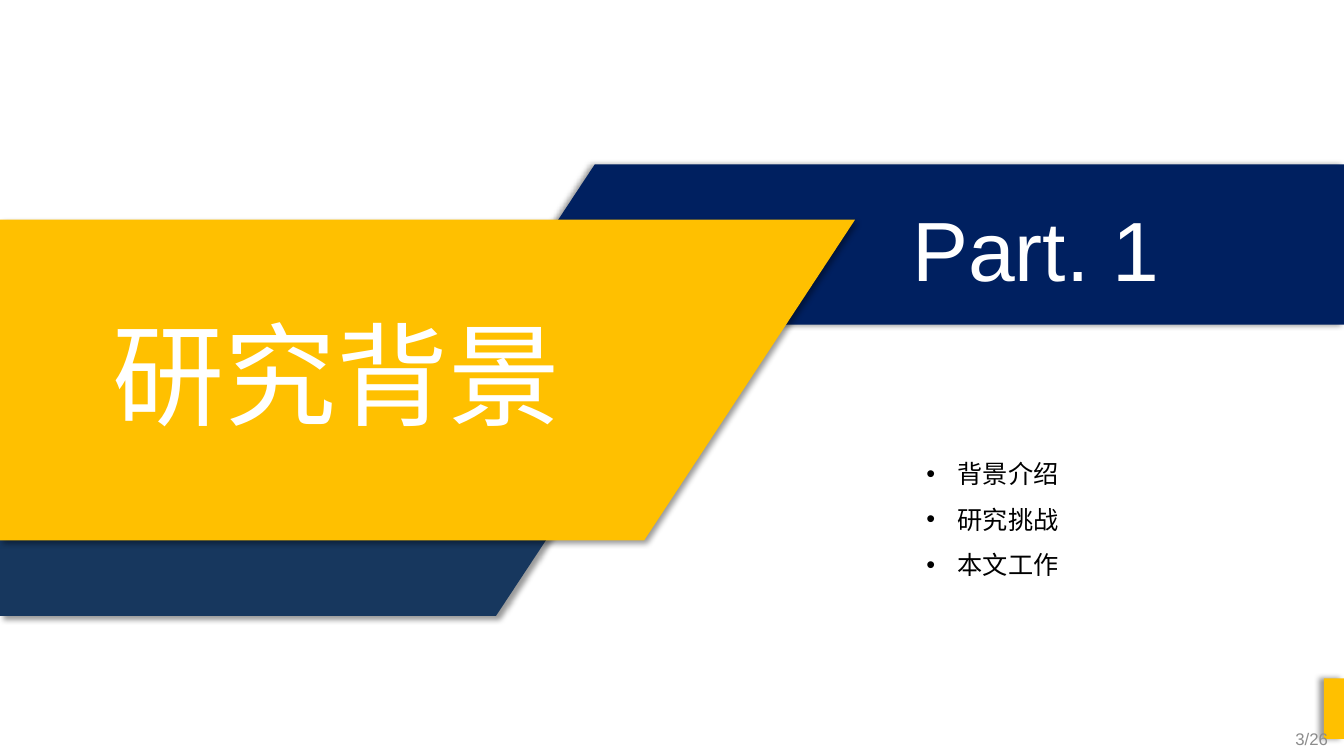
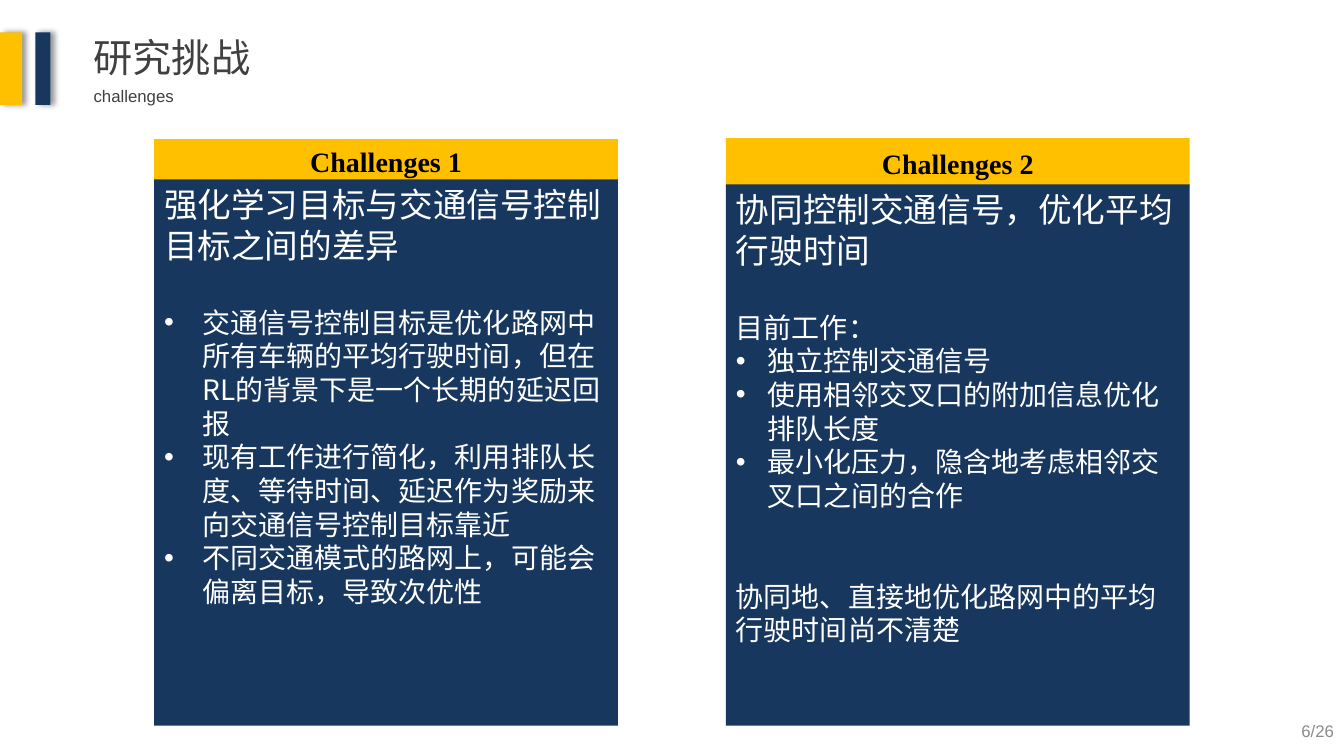
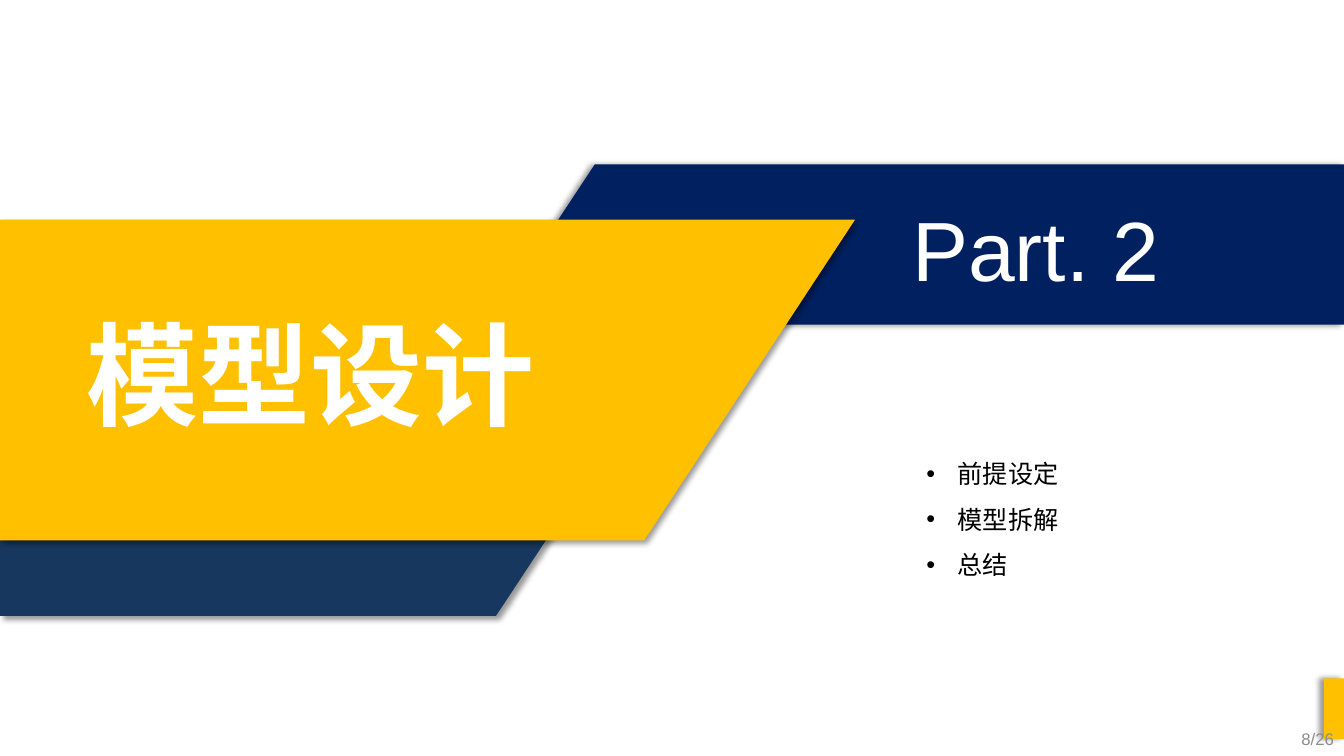
"""Build two section openers and a challenges slide for a traffic signal control talk."""
import pptx
import pptx.dml.color
import pptx.enum.shapes
import pptx.enum.text
import pptx.oxml
import pptx.oxml.ns
import pptx.util

Inches = pptx.util.Inches
Pt = pptx.util.Pt
ALIGN = pptx.enum.text.PP_ALIGN
ANCHOR = pptx.enum.text.MSO_ANCHOR
RECT = pptx.enum.shapes.MSO_SHAPE.RECTANGLE

THEME = {
    "gold": "FFC000", "navy": "17375E", "deep": "002060", "white": "FFFFFF",
    "black": "000000", "title": "404040", "muted": "8C8C8C",
    "latin": "Arial", "cjk": "Noto Sans CJK SC", "display": "Quicksand", "serif": "Times New Roman",
    "sizes": {"name": 80, "part": 60, "title": 28, "lead": 24, "body": 20, "list": 18, "small": 12},
}
TOTAL = 26

SECTIONS = [
    {"part": 1, "name": "研究背景", "left": 0.99, "font": "latin", "bold": False, "align": ALIGN.CENTER,
     "topics": ["背景介绍", "研究挑战", "本文工作"], "list_width": 2.99, "page": 3, "page_left": 10.27},
    {"part": 2, "name": "模型设计", "left": 0.76, "font": "display", "bold": True, "align": ALIGN.LEFT,
     "topics": ["前提设定", "模型拆解", "总结"], "list_width": 4.04, "page": 8, "page_left": 10.33},
]

BANDS = [
    ("navy", 45, [(0, 5.11), (5.58, 5.11), (4.92, 6.11), (0, 6.11)]),
    ("deep", 180, [(5.9, 1.63), (13.33, 1.63), (13.33, 3.22), (4.85, 3.22)]),
    ("gold", 45, [(0, 2.18), (8.48, 2.18), (6.39, 5.36), (0, 5.36)]),
]

CHALLENGES = {
    "title": "研究挑战", "subtitle": "challenges", "page": 6,
    "cards": [
        {"left": 1.53, "top": 1.38, "head": 0.45, "body_top": 1.78, "indent": 0.38,
         "label": "Challenges 1", "lead": "强化学习目标与交通信号控制目标之间的差异",
         "points": [
             ("交通信号控制目标是优化路网中所有车辆的平均行驶时间，但在RL的背景下是一个长期的延迟回报", True, 28.8),
             ("现有工作进行简化，利用排队长度、等待时间、延迟作为奖励来向交通信号控制目标靠近", True, 0),
             ("不同交通模式的路网上，可能会偏离目标，导致次优性", True, 0)]},
        {"left": 7.2, "top": 1.37, "head": 0.49, "body_top": 1.83, "indent": 0.31,
         "label": "Challenges 2", "lead": "协同控制交通信号，优化平均行驶时间",
         "points": [
             ("目前工作：", False, 28.8),
             ("独立控制交通信号", True, 0),
             ("使用相邻交叉口的附加信息优化排队长度", True, 0),
             ("最小化压力，隐含地考虑相邻交叉口之间的合作", True, 0),
             ("协同地、直接地优化路网中的平均行驶时间尚不清楚", False, 48)]},
    ],
}
CARD_WIDTH, CARD_BOTTOM = 4.6, 7.2


def rgb(name):
    return pptx.dml.color.RGBColor.from_string(THEME[name])


def paint(sp, color, shadow=None):
    sp.shadow.inherit = False
    sp.fill.solid()
    sp.fill.fore_color.rgb = rgb(color)
    sp.line.fill.background()
    if shadow is not None:
        effects = sp._element.spPr.find(pptx.oxml.ns.qn("a:effectLst"))
        effects.append(pptx.oxml.parse_xml(
            f'<a:outerShdw {pptx.oxml.ns.nsdecls("a")} blurRad="{Pt(4)}" dist="{Pt(3)}" '
            f'dir="{shadow * 60000}" algn="ctr" rotWithShape="0">'
            '<a:srgbClr val="000000"><a:alpha val="40000"/></a:srgbClr></a:outerShdw>'))
    return sp


def rect(s, box, color, shadow=None):
    return paint(s.shapes.add_shape(RECT, *map(Inches, box)), color, shadow)


def band(s, color, shadow, points):
    start, *rest = [(Inches(x), Inches(y)) for x, y in points]
    builder = s.shapes.build_freeform(*start)
    builder.add_line_segments(rest, close=True)
    paint(builder.convert_to_shape(), color, shadow)


def para(text, size, color="black", font="cjk", bold=False, indent=0, **layout):
    return {"text": text, "size": size, "color": color, "font": font, "bold": bold,
            "indent": indent, "layout": {"alignment": ALIGN.LEFT, **layout}}


def write(sp, paras, anchor=ANCHOR.TOP):
    tf = sp.text_frame
    tf.word_wrap = True
    tf.vertical_anchor = anchor
    for i, item in enumerate(paras):
        p = tf.paragraphs[0] if i == 0 else tf.add_paragraph()
        if item["indent"]:
            pPr = p._p.get_or_add_pPr()
            pPr.set("marL", str(Inches(item["indent"])))
            pPr.set("indent", str(-Inches(item["indent"])))
            for tag, key, value in (("buFont", "typeface", "Arial"), ("buChar", "char", "•")):
                pPr.append(pptx.oxml.parse_xml(
                    f'<a:{tag} {pptx.oxml.ns.nsdecls("a")} {key}="{value}"/>'))
        for key, value in item["layout"].items():
            setattr(p, key, value)
        r = p.add_run()
        r.text = item["text"]
        face = THEME[item["font"]]
        form = {"size": Pt(THEME["sizes"][item["size"]]), "bold": item["bold"], "name": face}
        for key, value in form.items():
            setattr(r.font, key, value)
        r.font.color.rgb = rgb(item["color"])
        r._r.get_or_add_rPr().append(pptx.oxml.parse_xml(
            f'<a:ea {pptx.oxml.ns.nsdecls("a")} typeface="{face}"/>'))


def text(s, box, paras, anchor=ANCHOR.TOP):
    write(s.shapes.add_textbox(*map(Inches, box)), paras, anchor)


def page_number(s, page, left=10.33, top=7.13, anchor=ANCHOR.MIDDLE):
    text(s, (left, top, 3, 0.4),
         [para(f"{page}/{TOTAL}", "small", "muted", "latin", alignment=ALIGN.RIGHT)], anchor)


def section_slide(s, sec):
    for color, shadow, points in BANDS:
        band(s, color, shadow, points)
    text(s, (8.9, 1.91, 2.75, 1.11),
         [para(f"Part. {sec['part']}", "part", "white", "latin", alignment=ALIGN.CENTER)])
    text(s, (sec["left"], 2.98, 4.69, 1.45),
         [para(sec["name"], "name", "white", sec["font"], sec["bold"], alignment=sec["align"])])
    rect(s, (13.13, 6.73, 0.2, 0.6), "gold", 180)
    text(s, (9.09, 4.35, sec["list_width"], 1.46),
         [para(topic, "list", indent=0.31, line_spacing=1.5) for topic in sec["topics"]])
    page_number(s, sec["page"], sec["page_left"])


def title_block(s, title, subtitle):
    text(s, (0.83, 0.28, 1.77, 0.57), [para(title, "title", "title")])
    text(s, (0.83, 0.8, 4.77, 0.3), [para(subtitle, "small", "title", "latin")])
    for left, width, color in ((0, 0.22, "gold"), (0.35, 0.15, "navy")):
        rect(s, (left, 0.32, width, 0.72), color, 0)


def card(s, c):
    head = rect(s, (c["left"], c["top"], CARD_WIDTH, c["head"]), "gold")
    write(head, [para(c["label"], "body", "black", "serif", True, alignment=ALIGN.CENTER)],
          ANCHOR.MIDDLE)
    body = rect(s, (c["left"], c["body_top"], CARD_WIDTH, CARD_BOTTOM - c["body_top"]), "navy")
    write(body, [para(c["lead"], "lead", "white")] + [
        para(line, "body", "white", indent=c["indent"] if bullet else 0, space_before=Pt(gap))
        for line, bullet, gap in c["points"]])


def challenges_slide(s, data):
    title_block(s, data["title"], data["subtitle"])
    for c in data["cards"]:
        card(s, c)
    page_number(s, data["page"], top=7.1, anchor=ANCHOR.TOP)


def main():
    prs = pptx.Presentation()
    prs.slide_width, prs.slide_height = Inches(13.33), Inches(7.5)
    for build, data in ((section_slide, SECTIONS[0]), (challenges_slide, CHALLENGES),
                        (section_slide, SECTIONS[1])):
        build(prs.slides.add_slide(prs.slide_layouts[6]), data)
    prs.save("out.pptx")


if __name__ == "__main__":
    main()
